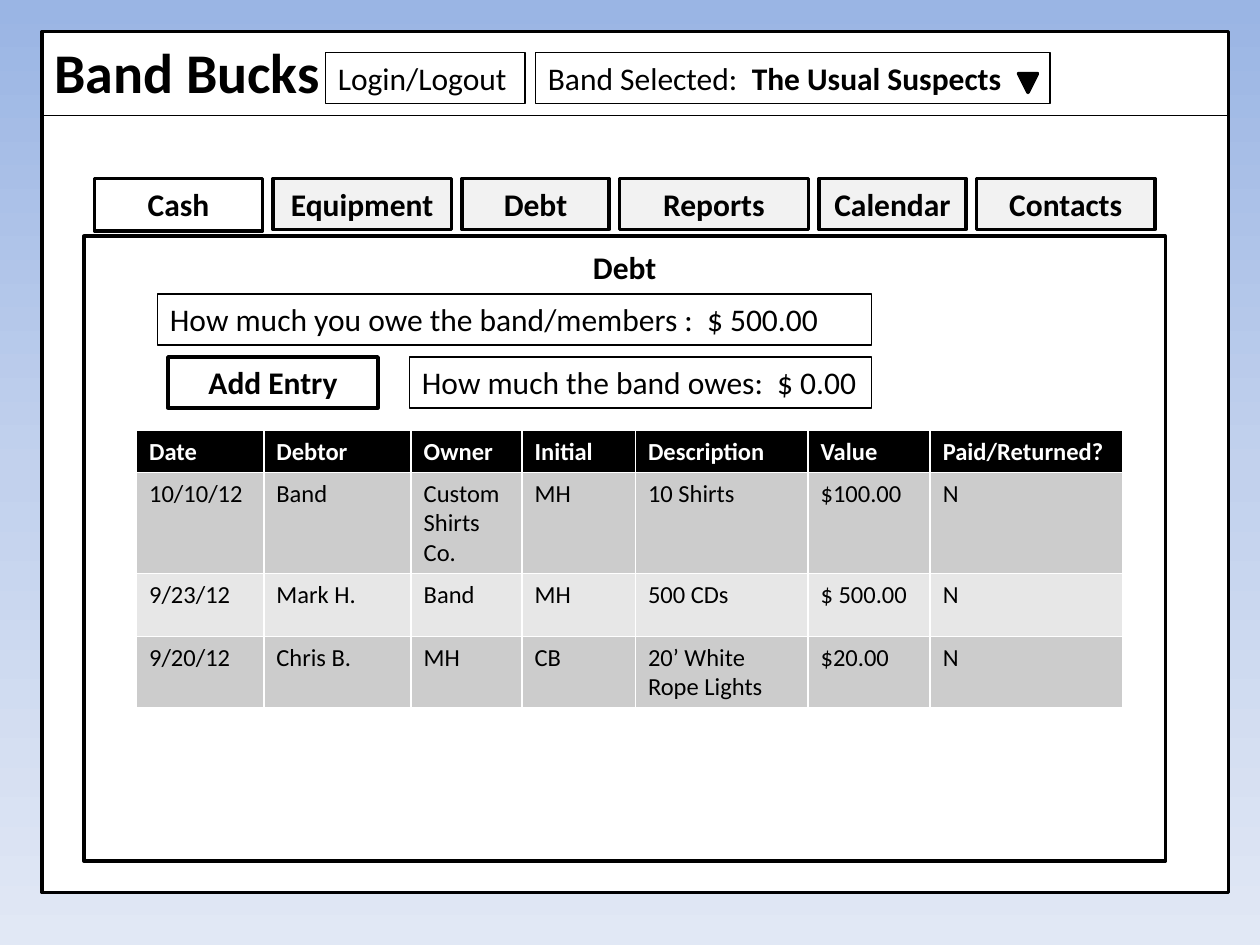
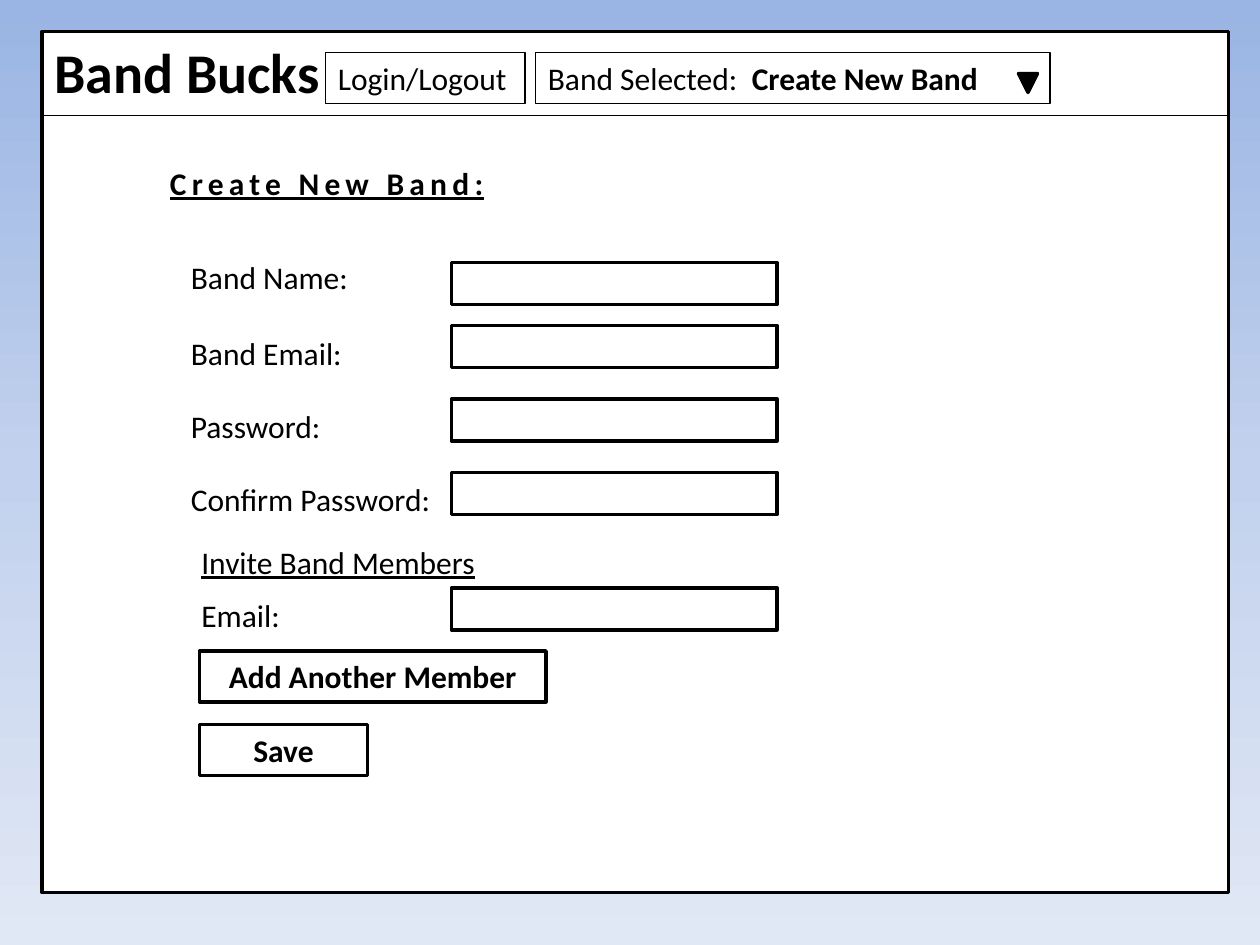
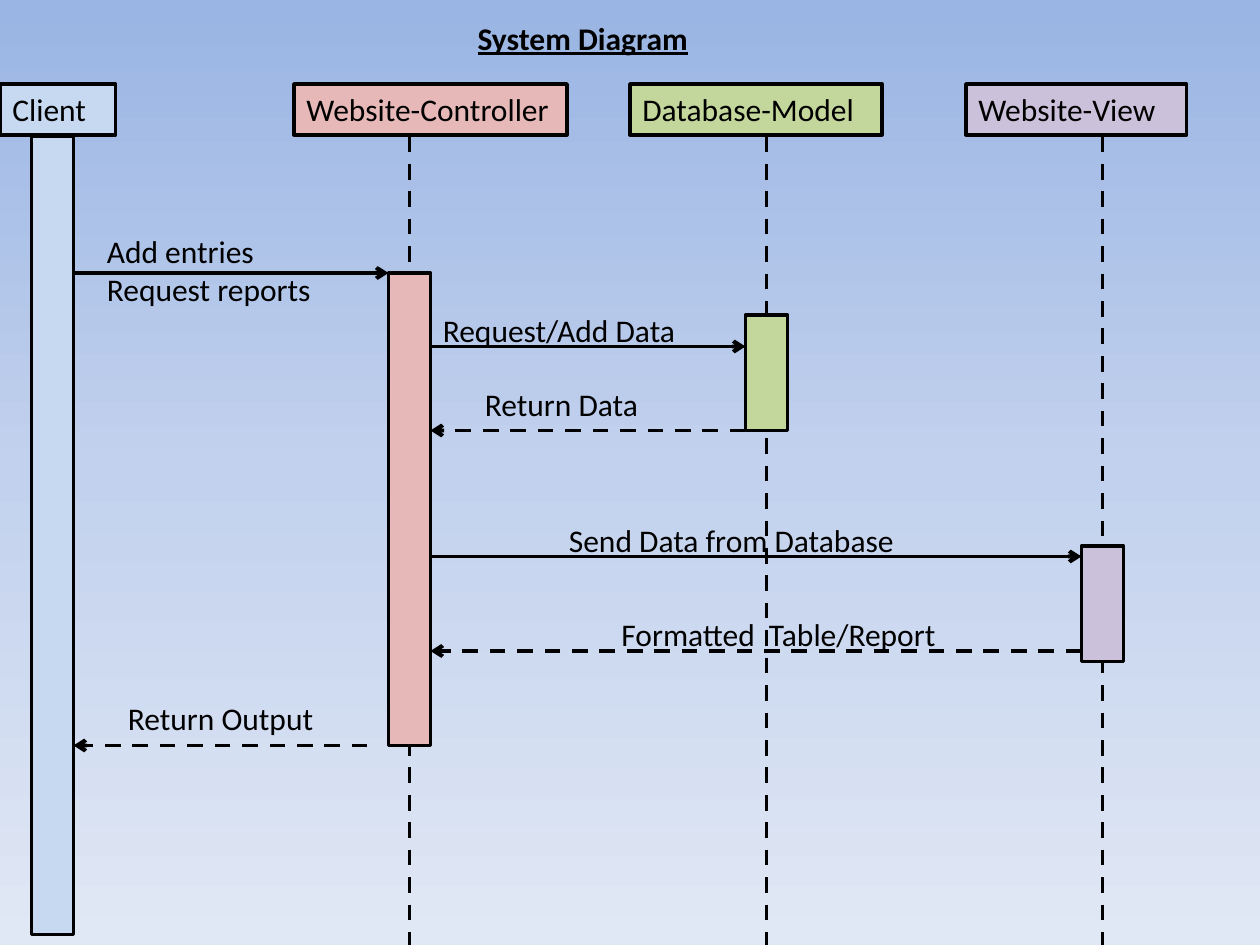
from copy import deepcopy
from dataclasses import dataclass

from pptx import Presentation
from pptx import util as u
from pptx.dml.color import RGBColor
from pptx.enum import dml, shapes, text
from pptx.oxml.ns import qn
from pptx.oxml.xmlchemy import OxmlElement

# The slide is a grid of 120 columns and 90 rows, twelve cells to the inch.
COLS, ROWS = 120, 90
CELL = u.Inches(1) / 12
LINE_H = 4.85  # rows taken by one line of body text

FONT = "Calibri"
BODY, TITLE, SMALL = 18, 32, 14
BLACK, WHITE, TAB_GREY = "000000", "FFFFFF", "F2F2F2"
HEAVY, THIN, ARROW = 2, 0.75, 2.25
BACKDROP = [(0, "9AB5E4"), (0.5, "C2D1ED"), (1, "E1E8F5")]
TABLE_BANDS = ["CCCCCC", "E7E7E7"]


@dataclass
class Box:
    """A rectangle measured in grid cells."""
    x: float
    y: float
    w: float
    h: float = LINE_H

    def inside(self, dx, dy, w, h=LINE_H):
        """Return a box placed relative to this one's top left corner."""
        return Box(self.x + dx, self.y + dy, w, h)

    def emu(self):
        """Return left, top, width and height in EMU."""
        return [cells(v) for v in (self.x, self.y, self.w, self.h)]


def cells(n):
    """Turn a number of grid cells into a length."""
    return u.Emu(round(n * CELL))


def rgb(value):
    """Turn a hex string into a colour."""
    return RGBColor.from_string(value)


def write(tf, content, strong="", size=BODY, color=BLACK, bold=False,
          underline=False, spacing=0, center=False):
    """Fill a text frame, one paragraph a line, with an optional bold ending."""
    tf.word_wrap = True
    for i, line in enumerate(content.split("\n")):
        p = tf.paragraphs[0] if i == 0 else tf.add_paragraph()
        p.alignment = text.PP_ALIGN.CENTER if center else text.PP_ALIGN.LEFT
        for part, heavy in ((line, bold), (strong, True)):
            if not part:
                continue
            r = p.add_run()
            r.text = part
            r.font.name, r.font.size = FONT, u.Pt(size)
            r.font.bold, r.font.underline = heavy, underline
            r.font.color.rgb = rgb(color)
            if spacing:
                r.font._element.set("spc", str(spacing * 100))


def label(s, box, content, **fmt):
    """Add a plain text box."""
    tf = s.shapes.add_textbox(*box.emu()).text_frame
    tf.auto_size = text.MSO_AUTO_SIZE.SHAPE_TO_FIT_TEXT
    write(tf, content, **fmt)


def block(s, box, content="", fill=WHITE, weight=HEAVY,
          kind=shapes.MSO_SHAPE.RECTANGLE, **fmt):
    """Add an outlined shape, with text if there is any."""
    sp = s.shapes.add_shape(kind, *box.emu())
    sp.shadow.inherit = False
    sp.fill.solid()
    sp.fill.fore_color.rgb = rgb(fill)
    sp.line.color.rgb = rgb(BLACK)
    sp.line.width = u.Pt(weight)
    if content:
        sp.text_frame.vertical_anchor = text.MSO_ANCHOR.TOP
        sp.text_frame.auto_size = text.MSO_AUTO_SIZE.SHAPE_TO_FIT_TEXT
        write(sp.text_frame, content, **fmt)
    return sp


def button(s, box, content, fill=WHITE):
    """Add a block with bold centred text."""
    block(s, box, content, fill=fill, bold=True, center=True)


def line(s, x1, y1, x2, y2, weight=ARROW, dashed=False, arrow=False):
    """Add a straight line between two grid points."""
    c = s.shapes.add_connector(shapes.MSO_CONNECTOR.STRAIGHT,
                               *(cells(v) for v in (x1, y1, x2, y2)))
    c.line.color.rgb = rgb(BLACK)
    c.line.width = u.Pt(weight)
    if dashed:
        c.line.dash_style = dml.MSO_LINE.DASH
    if arrow:
        tail = OxmlElement("a:tailEnd")
        tail.set("type", "arrow")
        c.line._get_or_add_ln().append(tail)
    c._element.spPr.append(OxmlElement("a:effectLst"))


def backdrop(master):
    """Give the master the vertical gradient that all slides share."""
    fill = master.background.fill
    fill.gradient()
    fill.gradient_angle = 270
    first = master.element.find(".//" + qn("a:gs"))
    first.addnext(deepcopy(first))
    for stop, (position, color) in zip(fill.gradient_stops, BACKDROP):
        stop.position = position
        stop.color.rgb = rgb(color)


def app_page(s, box, band):
    """Draw the application window with its header bar."""
    block(s, box)
    block(s, box.inside(27, 2, 19), "Login/Logout", weight=THIN)
    block(s, box.inside(47, 2, 49), "Band Selected:  ", strong=band, weight=THIN)
    label(s, box.inside(0, 0, 28, 7.7), "Band Bucks", size=TITLE, bold=True)
    line(s, box.x, box.y + 8, box.x + box.w, box.y + 8, weight=THIN)
    arrow = block(s, box.inside(93, 4, 1.8, 1.8), fill=BLACK,
                  kind=shapes.MSO_SHAPE.ISOSCELES_TRIANGLE)
    arrow.rotation = 180


def tab_row(s, box, tabs, active, gap=1):
    """Lay tabs from left to right; the active one is white."""
    x = 0
    for name, width in tabs:
        on = name == active
        button(s, box.inside(x, 0, width, 5 if on else LINE_H), name,
               fill=WHITE if on else TAB_GREY)
        x += width + gap


def entry_table(s, box, widths, heights, rows):
    """Add the table of entries: black header, grey bands."""
    table = s.shapes.add_table(len(rows), len(widths), *box.emu()).table
    for column, width in zip(table.columns, widths):
        column.width = u.Inches(width)
    for i, (row, height) in enumerate(zip(rows, heights)):
        table.rows[i].height = u.Inches(height)
        head = i == 0
        for j, value in enumerate(row):
            cell = table.cell(i, j)
            cell.fill.solid()
            cell.fill.fore_color.rgb = rgb(BLACK if head else TABLE_BANDS[(i - 1) % 2])
            write(cell.text_frame, value, size=SMALL, bold=head,
                  color=WHITE if head else BLACK)


def debt_panel(s, box):
    """Draw the debt panel: totals, add button and entries."""
    block(s, box)
    label(s, box.inside(34, 0.5, 35), "Debt", bold=True, center=True)
    block(s, box.inside(7, 5.5, 68),
          "How much you owe the band/members :  $ 500.00", weight=THIN)
    block(s, box.inside(31, 11.5, 44), "How much the band owes:  $ 0.00", weight=THIN)
    button(s, box.inside(8, 11.5, 20), "Add Entry")
    entry_table(s, box.inside(5, 18.5, 94, 21.7),
                [1.01, 1.17, 0.88, 0.9, 1.37, 0.97, 1.53], [0.31, 0.5, 0.5, 0.5], [
        ["Date", "Debtor", "Owner", "Initial", "Description", "Value", "Paid/Returned?"],
        ["10/10/12", "Band", "Custom Shirts Co.", "MH", "10 Shirts", "$100.00", "N"],
        ["9/23/12", "Mark H.", "Band", "MH", "500 CDs", "$ 500.00", "N"],
        ["9/20/12", "Chris B.", "MH", "CB", "20’ White Rope Lights", "$20.00", "N"],
    ])


def band_form(s, box):
    """Draw the form for a new band: labels, fields and buttons."""
    label(s, box.inside(0, 0, 38), "Create New Band:", bold=True,
          underline=True, spacing=3)
    fields = [("Band Name:", 2, 9, 10), ("Band Email:", 2, 16.2, 16),
              ("Password:", 2, 23.2, 23), ("Confirm Password:", 2, 30.1, 30),
              ("Email:", 3, 41.15, 41)]
    for name, indent, label_row, field_row in fields:
        label(s, box.inside(indent, label_row, 31), name)
        block(s, box.inside(28, field_row, 31, 4))
    label(s, box.inside(3, 36.1, 31), "Invite Band Members", underline=True)
    button(s, box.inside(4, 47, 33), "Add Another Member")
    button(s, box.inside(4, 54, 16), "Save")


def participant(s, box, name, color, center, start, length, lifeline=True):
    """Draw a head, its dashed lifeline and its activation bar."""
    if lifeline:
        line(s, center, box.y + 5, center, ROWS, dashed=True)
    block(s, box, name, fill=color)
    block(s, Box(center - 2, start, 4, length), fill=color)


def message(s, source, target, row, caption, box, reply=False, gap=0):
    """Draw an arrow between two bars, with its caption."""
    way = 1 if target > source else -1
    line(s, source + way * (2 + gap), row, target - way * 2, row,
         dashed=reply, arrow=True)
    label(s, box, caption)


def sequence_diagram(s, box):
    """Draw the system diagram below its title."""
    label(s, box.inside(44, 1.2, 23), "System Diagram", bold=True,
          underline=True, center=True)
    client, controller, model, view = 5, 39, 73, 105
    for x, w, name, color, center, start, length in [
        (92, 21, "Website-View", "CCC1DA", view, 52, 11),
        (60, 24, "Database-Model", "C3D69B", model, 30, 11),
        (28, 26, "Website-Controller", "E6B9B8", controller, 26, 45),
        (0, 11, "Client", "C6D9F1", client, 13, 76),
    ]:
        participant(s, box.inside(x, 8, w), name, color, center, start, length,
                    lifeline=center != client)
    message(s, client, controller, 26, "Add entries\nRequest reports",
            box.inside(9, 21.5, 36, 8.5))
    message(s, controller, model, 33, "Request/Add Data", box.inside(41, 29, 25))
    message(s, model, controller, 41, "Return Data", box.inside(45, 36.1, 18), reply=True)
    message(s, controller, view, 53, "Send Data from Database", box.inside(53, 49, 34))
    message(s, view, controller, 62, "Formatted  Table/Report",
            box.inside(58, 58, 34), reply=True)
    message(s, controller, client, 71, "Return Output",
            box.inside(11, 66, 22), reply=True, gap=2)


prs = Presentation()
prs.slide_width, prs.slide_height = cells(COLS), cells(ROWS)
backdrop(prs.slide_master)
blank = prs.slide_layouts[6]
page = Box(4, 3, 113, 82)

s = prs.slides.add_slide(blank)
app_page(s, page, "The Usual Suspects")
debt_panel(s, page.inside(4, 19.5, 103, 59.5))
tab_row(s, page.inside(5, 14, 101),
        [("Cash", 16), ("Equipment", 17), ("Debt", 14), ("Reports", 18),
         ("Calendar", 14), ("Contacts", 17)], active="Cash")

s = prs.slides.add_slide(blank)
app_page(s, page, "Create New Band")
band_form(s, page.inside(11, 12, 59, 59))

s = prs.slides.add_slide(blank)
sequence_diagram(s, Box(0, 0, COLS, ROWS))

prs.save("out.pptx")
